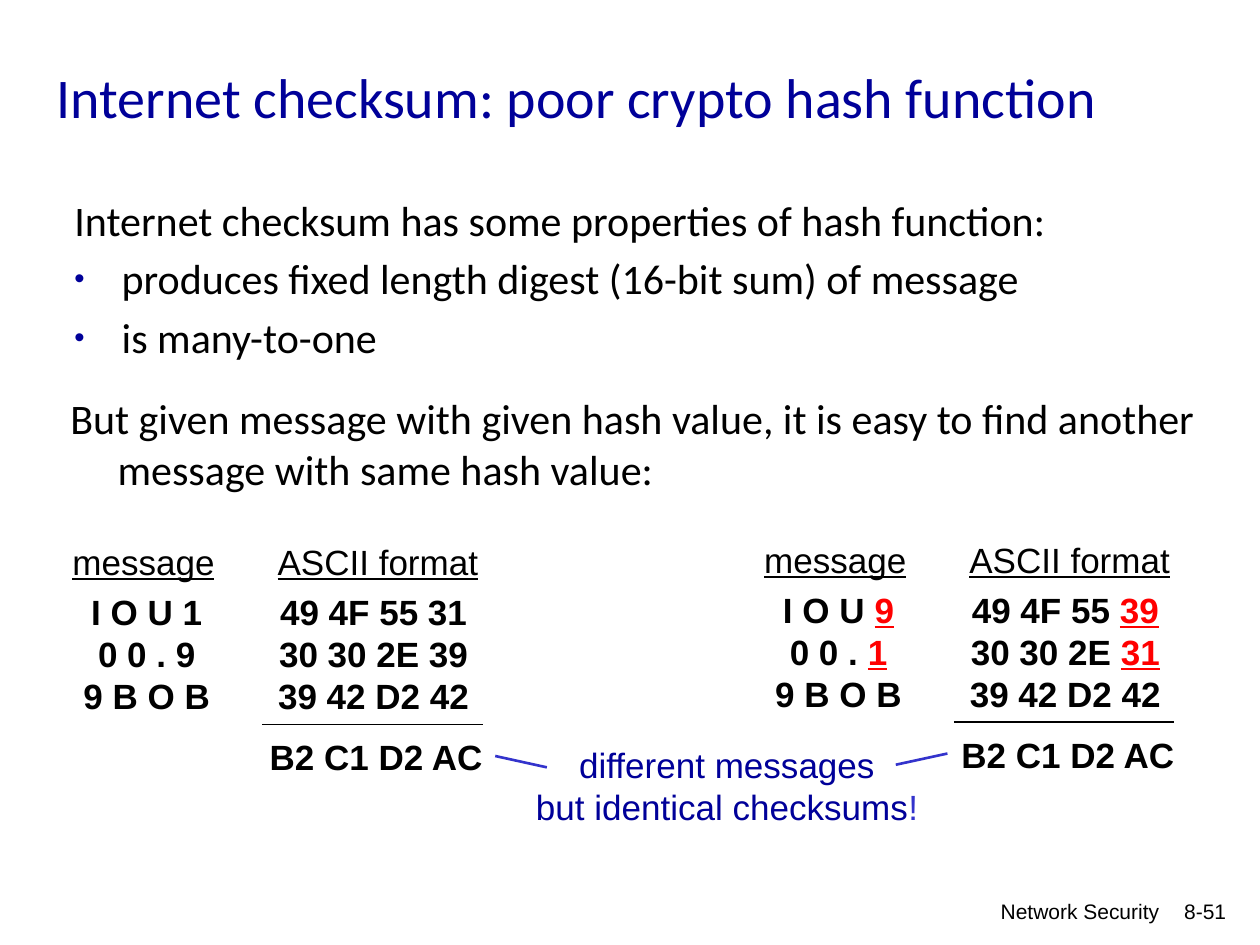
from lxml.etree import SubElement
from pptx import Presentation
from pptx.dml.color import RGBColor
from pptx.enum.shapes import MSO_CONNECTOR
from pptx.enum.text import MSO_ANCHOR, MSO_AUTO_SIZE, PP_ALIGN
from pptx.oxml.ns import qn
from pptx.util import Pt

COLORS = {"black": "000000", "navy": "000099", "blue": "3333CC", "red": "FF0000"}


def write_text(shape, box, paragraphs, size=20, font="Arial", align=PP_ALIGN.CENTER,
               bold=False, underline=False, wrap=False):
    """Place a shape and fill it; each paragraph is a list of (text, color) runs."""
    shape.left, shape.top, shape.width, shape.height = [Pt(value) for value in box]
    frame = shape.text_frame
    frame.word_wrap = wrap
    frame.auto_size = MSO_AUTO_SIZE.NONE
    for index, runs in enumerate(paragraphs):
        paragraph = frame.add_paragraph() if index else frame.paragraphs[0]
        paragraph.alignment = align
        for text, color in runs:
            run = paragraph.add_run()
            run.text = text
            run.font.name = font
            run.font.size = Pt(size)
            run.font.bold = bold
            run.font.underline = underline or color == "red"
            run.font.color.rgb = RGBColor.from_string(COLORS[color])
    return frame


def add_line(x1, y1, x2, y2, color, width):
    line = slide.shapes.add_connector(
        MSO_CONNECTOR.STRAIGHT, Pt(x1), Pt(y1), Pt(x2), Pt(y2))
    line.line.color.rgb = RGBColor.from_string(COLORS[color])
    line.line.width = Pt(width)
    SubElement(line._element.spPr, qn("a:effectLst"))


presentation = Presentation()
presentation.slide_width, presentation.slide_height = Pt(720), Pt(540)
slide = presentation.slides.add_slide(presentation.slide_layouts[1])
new_box = slide.shapes.add_textbox

# Title
title = write_text(slide.shapes.title, (25.2, 21.6, 639.4, 66.2),
                   [[("Internet checksum: poor crypto hash function", "navy")]],
                   size=32, font="Calibri", align=PP_ALIGN.LEFT, wrap=True)
title.vertical_anchor = MSO_ANCHOR.MIDDLE

# Properties list and the counterargument below it
properties = [
    "Internet checksum has some properties of hash function:",
    "produces fixed length digest (16-bit sum) of message",
    "is many-to-one",
]
argument = ("But given message with given hash value, it is easy to find another "
            "message with same hash value:")
prose = dict(size=24, font="Calibri", align=PP_ALIGN.LEFT, wrap=True)
body = write_text(slide.placeholders[1], (35.3, 107.3, 663.1, 167),
                  [[(text, "black")] for text in properties], **prose)
body.vertical_anchor = MSO_ANCHOR.TOP
argument_frame = write_text(new_box(0, 0, 0, 0), (33.1, 221, 663.1, 77),
                            [[(argument, "black")]], **prose)

for paragraph in body.paragraphs + argument_frame.paragraphs:
    paragraph.space_before = Pt(4.8)
    layout = paragraph._p.get_or_add_pPr()
    layout.set("marL", str(Pt(27)))
    layout.set("indent", str(Pt(-27)))
    if paragraph.runs[0].text in properties[1:]:
        bullet_color = SubElement(layout, qn("a:buClr"))
        SubElement(bullet_color, qn("a:srgbClr"), val=COLORS["navy"])
        SubElement(layout, qn("a:buSzPct"), val="70000")
        SubElement(layout, qn("a:buFont"), typeface="Arial")
        SubElement(layout, qn("a:buChar"), char="•")
    else:
        SubElement(layout, qn("a:buNone"))

# Two messages with their bytes and checksum; changed characters are red
examples = [
    (0, 0,
     [[("I O U 1", "black")], [("0 0 . 9", "black")]],
     [[("49 4F 55 31", "black")], [("30 30 2E 39", "black")]]),
    (395.3, -1.4,
     [[("I O U ", "black"), ("9", "red")], [("0 0 . ", "black"), ("1", "red")]],
     [[("49 4F 55 ", "black"), ("39", "red")], [("30 30 2E ", "black"), ("31", "red")]]),
]
for dx, dy, message, ascii_bytes in examples:
    message = message + [[("9 B O B", "black")]]
    ascii_bytes = ascii_bytes + [[("39 42 D2 42", "black")]]
    columns = [
        ((40.3, 334.1, 87.1, 79.9), message, {"bold": True}),
        ((151.2, 334.1, 124.6, 79.9), ascii_bytes, {"bold": True}),
        ((33.8, 305.3, 96.5, 31.7), [[("message", "black")]], {"underline": True}),
        ((151.2, 305.3, 129.6, 31.7), [[("ASCII format", "black")]], {"underline": True}),
        ((146.2, 416.9, 137.5, 31.7), [[("B2 C1 D2 AC", "black")]], {"bold": True}),
    ]
    for (left, top, width, height), paragraphs, style in columns:
        write_text(new_box(0, 0, 0, 0), (left + dx, top + dy, width, height),
                   paragraphs, **style)
    add_line(149.8 + dx, 414 + dy, 275.8 + dx, 414 + dy, "black", 0.75)

# Remark pointing at both checksums
write_text(new_box(0, 0, 0, 0), (294.5, 421.2, 241.9, 55.4),
           [[("different messages", "navy")],
            [("but identical checksums", "navy"), ("!", "blue")]])
add_line(312.5, 438.5, 283, 432, "blue", 1.5)
add_line(511.9, 437, 541.4, 430.6, "blue", 1.5)

# Footer and page number
for box, text in [((365.8, 509.8, 303.8, 24.5), "Network Security"),
                  ((654.5, 509.8, 53.3, 23.8), "8-51")]:
    write_text(new_box(0, 0, 0, 0), box, [[(text, "black")]],
               size=12, align=PP_ALIGN.RIGHT, wrap=True)

presentation.save("out.pptx")
